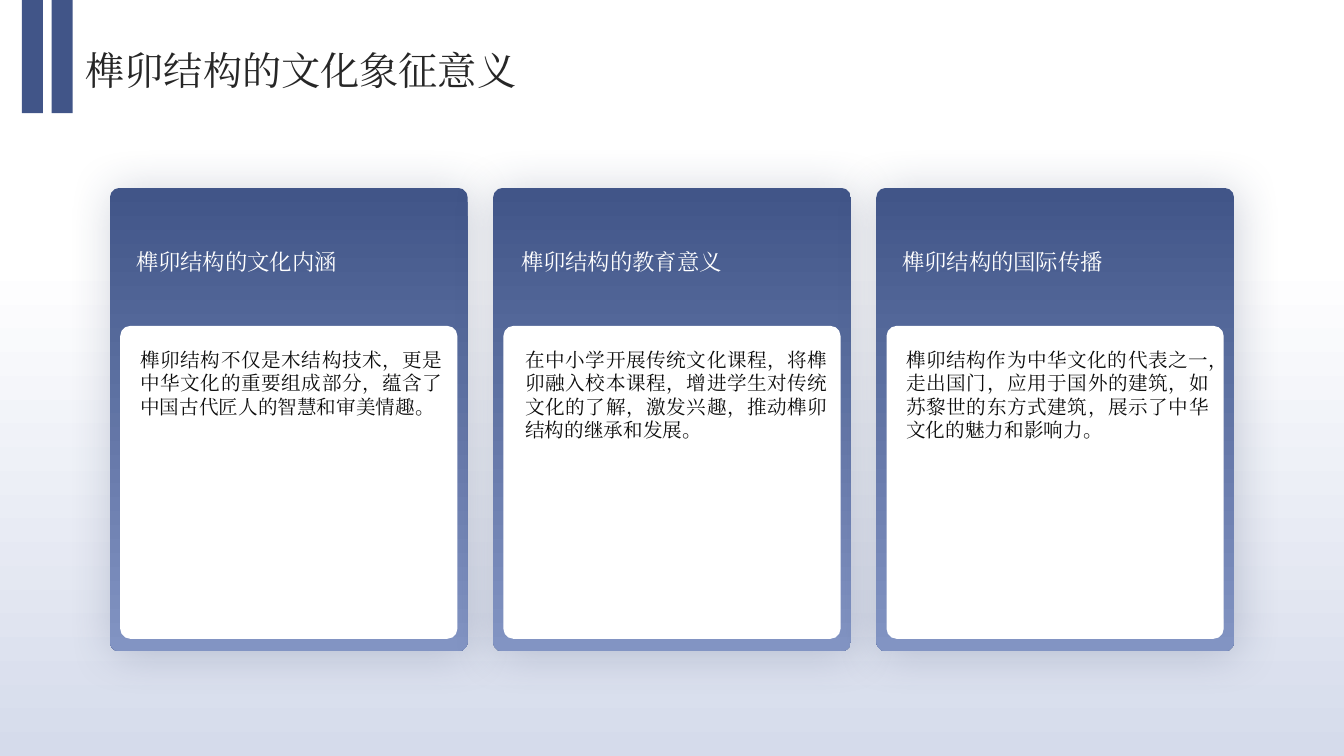
from lxml.etree import SubElement as Sub
from pptx import Presentation
from pptx.dml.color import RGBColor as Rgb
from pptx.enum.shapes import MSO_SHAPE as Kind
from pptx.enum.text import MSO_ANCHOR as Anchor, PP_ALIGN as Align
from pptx.oxml.ns import qn
from pptx.util import Pt

TITLE = "榫卯结构的文化象征意义"
CARDS = [
    ("榫卯结构的文化内涵", 97.2,
     "榫卯结构不仅是木结构技术，更是中华文化的重要组成部分，蕴含了中国古代匠人的智慧和审美情趣。"),
    ("榫卯结构的教育意义", 372.2,
     "在中小学开展传统文化课程，将榫卯融入校本课程，增进学生对传统文化的了解，激发兴趣，推动榫卯结构的继承和发展。"),
    ("榫卯结构的国际传播", 644.4,
     "榫卯结构作为中华文化的代表之一，走出国门，应用于国外的建筑，如苏黎世的东方式建筑，展示了中华文化的魅力和影响力。"),
]
THEME = {
    "font": "Times New Roman",
    "title": 28, "head": 16, "body": 14,
    "dark": "262626", "ink": "0D0D0D", "white": "FFFFFF",
    "navy": "415588", "blue": "8294C3", "mist": "D5DBEB", "shade": "314066",
}
WIDE, HIGH = 960, 540
LEFT, STEP = 78.5, 273.7


def color(name):
    return Rgb.from_string(THEME[name])


def block(kind, x, y, w, h, fill, turn=270, stop=1, round=None):
    shape = slide.shapes.add_shape(kind, Pt(x), Pt(y), Pt(w), Pt(h))
    shape.shadow.inherit = False
    shape.line.fill.background()
    if round is not None:
        shape.adjustments[0] = round
    if isinstance(fill, str):
        shape.fill.solid()
        shape.fill.fore_color.rgb = color(fill)
    else:
        shape.fill.gradient()
        shape.fill.gradient_angle = turn
        for part, name, place in zip(shape.fill.gradient_stops, fill, (0, stop)):
            part.color.rgb = color(name)
            part.position = place
    return shape


def glow(shape):
    effect = shape._element.spPr.find(qn("a:effectLst"))
    outer = Sub(effect, qn("a:outerShdw"), blurRad=str(Pt(33)), dist=str(Pt(3)),
                dir="2700000", algn="ctr", rotWithShape="0")
    tint = Sub(outer, qn("a:srgbClr"), val=THEME["shade"])
    Sub(tint, qn("a:alpha"), val="24000")


def write(text, x, y, w, h, size, ink, anchor=Anchor.MIDDLE, align=Align.LEFT):
    frame = slide.shapes.add_textbox(Pt(x), Pt(y), Pt(w), Pt(h)).text_frame
    frame.word_wrap = True
    frame.vertical_anchor = anchor
    frame.margin_left = frame.margin_right = 0
    frame.margin_top = frame.margin_bottom = 0
    para = frame.paragraphs[0]
    para.alignment = align
    run = para.add_run()
    run.text = text
    run.font.name = THEME["font"]
    run.font.size = Pt(THEME[size])
    run.font.color.rgb = color(ink)
    Sub(run.font._element, qn("a:ea"), typeface=THEME["font"])


deck = Presentation()
deck.slide_width, deck.slide_height = Pt(WIDE), Pt(HIGH)
slide = deck.slides.add_slide(deck.slide_layouts[6])

block(Kind.RECTANGLE, 0, 0, WIDE, HIGH, ("mist", "white"), turn=90, stop=0.66)
for i in range(len(CARDS)):
    glow(block(Kind.ROUNDED_RECTANGLE, LEFT + i * STEP, 134.2, 255.6, 331,
               ("navy", "blue"), round=0.027))
for i, (head, x, body) in enumerate(CARDS):
    panel = block(Kind.ROUNDED_RECTANGLE, LEFT + i * STEP + 7.9, 233.3, 239.8, 222.5,
                  "white", round=0.03)
    panel.line.color.rgb = color("white")
    panel.line.width = Pt(1)
    write(head, x, 152.6, 218.2, 68.4, "head", "white")
    write(body, x + 3, 248.4, 216, 195.1, "body", "ink",
          anchor=Anchor.TOP, align=Align.JUSTIFY)

write(TITLE, 61.2, 31.7, 840.2, 36.7, "title", "dark")
for x in (36.9, 15.7):
    block(Kind.RECTANGLE, x, 0, 15, 80.8, "navy")

deck.save("out.pptx")
